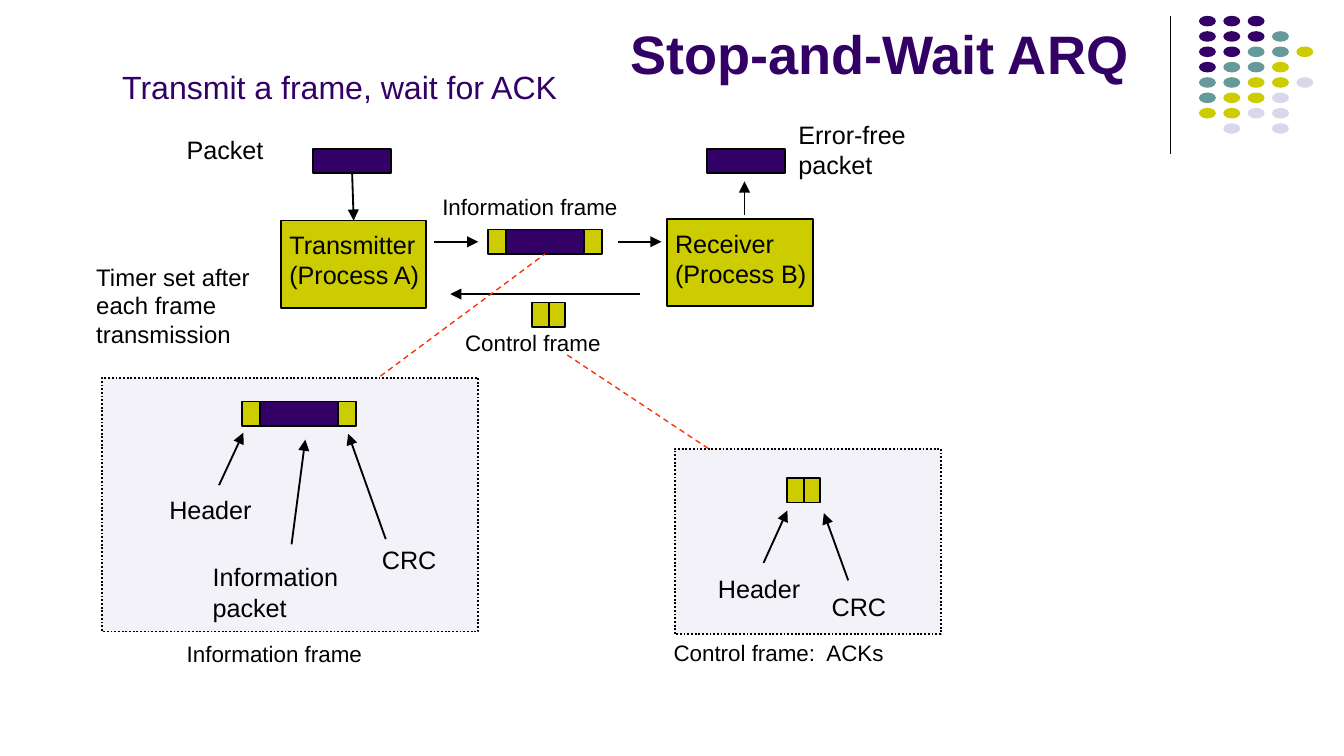
import dataclasses

import pptx
import pptx.dml.color
import pptx.enum.dml
import pptx.enum.shapes
import pptx.enum.text
import pptx.oxml
import pptx.oxml.ns
import pptx.util

Cm = pptx.util.Cm
Shapes = pptx.enum.shapes.MSO_SHAPE
Dashes = pptx.enum.dml.MSO_LINE
Anchors = pptx.enum.text.MSO_ANCHOR
TOP, BOTTOM = 0, 2  # connection sites


@dataclasses.dataclass(frozen=True)
class Theme:
    font: str = "Arial"
    purple: str = "330066"
    teal: str = "669999"
    olive: str = "CCCC00"
    lavender: str = "D8D8EC"
    panel: str = "F2F2F8"
    black: str = "000000"
    red: str = "FF3300"
    title: float = 29
    subtitle: float = 17.2
    label: float = 13.5
    timer: float = 12.8
    caption: float = 12
    outline: float = 1
    thin: float = 0.75


THEME = Theme()
PACKET_WIDTH, FRAME_WIDTH, CELL_WIDTH, FRAME_HEIGHT = 1.47, 2.16, 0.31, 0.46


def color(value):
    return pptx.dml.color.RGBColor.from_string(value)


def set_values(target, values):
    for name, value in values.items():
        setattr(target, name, value)


def write_text(shape, text, size, ink=THEME.black, bold=False, **frame_values):
    set_values(shape.text_frame, {"word_wrap": True, "text": text, **frame_values})
    for paragraph in shape.text_frame.paragraphs:
        paragraph.alignment = pptx.enum.text.PP_ALIGN.LEFT
        set_values(paragraph.font, {
            "name": THEME.font, "size": pptx.util.Pt(size), "bold": bold})
        paragraph.font.color.rgb = color(ink)


def add_heading(slide, box, text, size, ink=THEME.black, bold=False):
    shape = slide.shapes.add_textbox(*map(Cm, box))
    write_text(shape, text, size, ink, bold, vertical_anchor=Anchors.BOTTOM)


def add_label(slide, left, top, width, text, size=THEME.label):
    lines = text.count("\n") + 1
    shape = slide.shapes.add_textbox(
        Cm(left), Cm(top), Cm(width), Cm(0.2 + lines * size * 0.042))
    write_text(shape, text, size, margin_left=Cm(0.18), margin_right=Cm(0.18),
               margin_top=Cm(0.1), margin_bottom=Cm(0.1))


def add_block(slide, box, fill, kind=Shapes.RECTANGLE, outlined=True, dash=None):
    shape = slide.shapes.add_shape(kind, *map(Cm, box))
    shape.shadow.inherit = False
    shape.fill.solid()
    shape.fill.fore_color.rgb = color(fill)
    if outlined:
        shape.line.color.rgb = color(THEME.black)
        set_values(shape.line, {
            "width": pptx.util.Pt(THEME.outline), "dash_style": dash})
    else:
        shape.line.fill.background()
    return shape


def add_station(slide, box, text):
    shape = add_block(slide, box, THEME.olive)
    write_text(shape, text, THEME.label, vertical_anchor=Anchors.TOP,
               margin_left=Cm(0.16), margin_right=0, margin_top=Cm(0.17))
    return shape


def add_packet(slide, left, top):
    return add_block(slide, (left, top, PACKET_WIDTH, FRAME_HEIGHT), THEME.purple)


def add_information_frame(slide, left, top):
    frame = add_block(slide, (left, top, FRAME_WIDTH, FRAME_HEIGHT), THEME.olive)
    add_packet(slide, left + (FRAME_WIDTH - PACKET_WIDTH) / 2, top)
    return frame


def add_control_frame(slide, left, top):
    for cell in range(2):
        add_block(slide, (left + cell * CELL_WIDTH, top, CELL_WIDTH, FRAME_HEIGHT),
                  THEME.olive)


def add_line(slide, ends, ink=THEME.black, width=THEME.outline, dash=None, arrow=False):
    connector = slide.shapes.add_connector(
        pptx.enum.shapes.MSO_CONNECTOR.STRAIGHT, *map(Cm, ends))
    connector.line.color.rgb = color(ink)
    set_values(connector.line, {"width": pptx.util.Pt(width), "dash_style": dash})
    properties = connector.element.spPr
    if arrow:
        tail = pptx.oxml.parse_xml(
            f'<a:tailEnd {pptx.oxml.ns.nsdecls("a")} type="triangle"/>')
        properties.find(pptx.oxml.ns.qn("a:ln")).append(tail)
    properties.append(pptx.oxml.parse_xml(
        f'<a:effectLst {pptx.oxml.ns.nsdecls("a")}/>'))
    return connector


def add_dot_pattern(slide):
    inks = {"P": THEME.purple, "T": THEME.teal, "Y": THEME.olive, "L": THEME.lavender}
    rows = ("PPP", "PPPT", "PPTTY", "PTTY", "TTYYL", "TYYL", "YYLL", " L L")
    for row, codes in enumerate(rows):
        for column, code in enumerate(codes):
            if code in inks:
                add_block(slide, (22.66 + column * 0.46, 0.3 + row * 0.29, 0.32, 0.2),
                          inks[code], Shapes.OVAL, outlined=False)


def main():
    presentation = pptx.Presentation()
    set_values(presentation, {"slide_width": Cm(25.4), "slide_height": Cm(14.29)})
    slide = presentation.slides.add_slide(presentation.slide_layouts[6])

    # Corner decoration and headings
    add_line(slide, (22.12, 0.3, 22.12, 2.92), width=THEME.thin)
    add_dot_pattern(slide)
    add_heading(slide, (11.66, 0.38, 10.49, 1.35), "Stop-and-Wait ARQ",
                THEME.title, THEME.purple, bold=True)
    add_heading(slide, (2.06, 1.14, 8.9, 0.99), "Transmit a frame, wait for ACK",
                THEME.subtitle, THEME.purple)
    add_heading(slide, (1.57, 4.83, 3.96, 1.88),
                "Timer set after each frame transmission", THEME.timer)

    # Detail panels
    for panel in ((1.93, 7.14, 7.11, 4.8), (12.75, 8.48, 5.03, 3.51)):
        add_block(slide, panel, THEME.panel, dash=Dashes.ROUND_DOT)
    add_information_frame(slide, 4.57, 7.59)
    add_control_frame(slide, 14.88, 9.04)

    # Stations, packets and frames in transit
    transmitter = add_station(slide, (5.31, 4.17, 2.75, 1.65), "Transmitter\n(Process A)")
    add_station(slide, (12.6, 4.14, 2.77, 1.65), "Receiver\n(Process B)")
    packet = add_packet(slide, 5.92, 2.82)
    add_packet(slide, 13.36, 2.82)
    information_frame = add_information_frame(slide, 9.22, 4.34)
    add_control_frame(slide, 10.06, 5.72)

    # Labels and captions
    for label in (
        (3.35, 2.44, 1.9, "Packet"),
        (14.91, 2.16, 3.48, "Error-free\npacket"),
        (3.02, 9.25, 2, "Header"),
        (3.84, 10.52, 2.85, "Information\npacket"),
        (7.04, 10.19, 1.47, "CRC"),
        (13.39, 10.74, 2, "Header"),
        (15.54, 11.07, 1.47, "CRC"),
        (8.18, 3.56, 4.47, "Information frame", THEME.caption),
        (8.61, 6.12, 4.01, "Control frame", THEME.caption),
        (3.35, 12.01, 3.8, "Information frame", THEME.caption),
        (12.55, 11.99, 4.45, "Control frame:  ACKs", THEME.caption),
    ):
        add_label(slide, *label)

    # Arrows
    for ends in (
        (8.2, 4.57, 9.04, 4.57),
        (11.68, 4.57, 12.5, 4.57),
        (12.09, 5.56, 8.51, 5.56),
        (14.07, 4.06, 14.07, 3.43),
        (4.14, 9.17, 4.6, 8.18),
        (5.51, 10.29, 5.77, 8.31),
        (7.29, 10.19, 6.58, 8.2),
        (14.43, 10.64, 14.88, 9.65),
        (16.03, 10.97, 15.57, 9.7),
    ):
        add_line(slide, ends, arrow=True)
    delivery = add_line(slide, (6.65, 3.28, 6.68, 4.17), arrow=True)
    delivery.begin_connect(packet, BOTTOM)
    delivery.end_connect(transmitter, TOP)

    # Dashed links from the frames to their panels
    dashed = {"ink": THEME.red, "width": THEME.thin, "dash": Dashes.DASH}
    link = add_line(slide, (7.19, 7.11, 10.3, 4.8), **dashed)
    link.end_connect(information_frame, BOTTOM)
    add_line(slide, (10.72, 6.71, 13.39, 8.48), **dashed)

    presentation.save("out.pptx")


if __name__ == "__main__":
    main()
